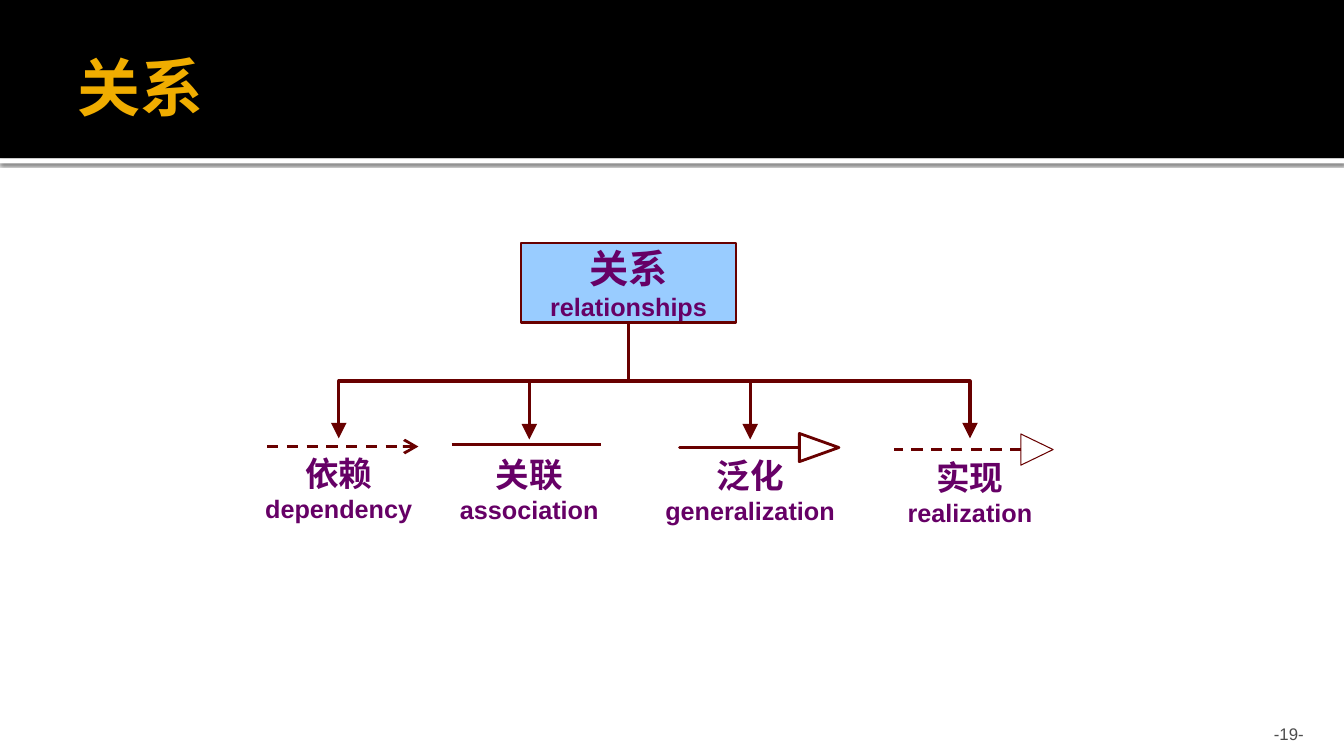
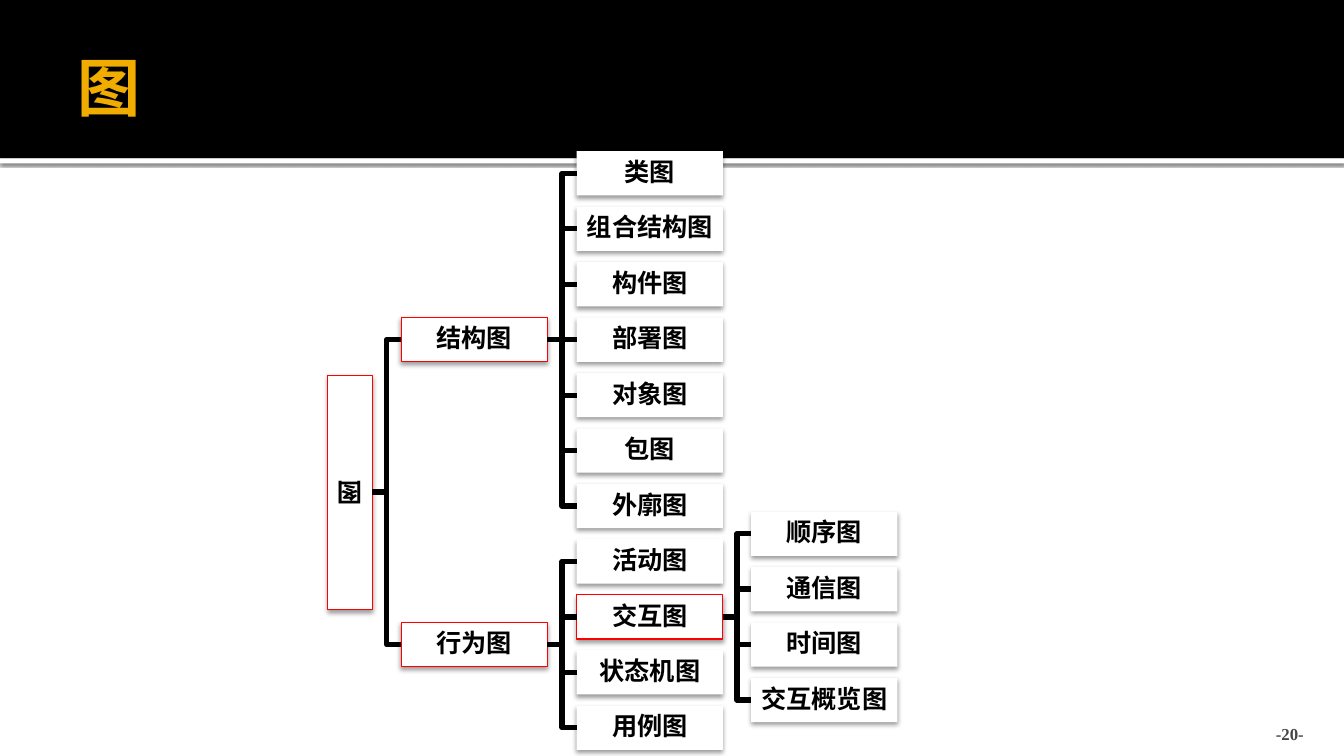
"""Build two slides on UML relationships and the family of UML diagrams."""
from lxml.etree import SubElement
from pptx import Presentation
from pptx.dml.color import RGBColor
from pptx.enum.dml import MSO_LINE
from pptx.enum.shapes import MSO_CONNECTOR as LINK, MSO_SHAPE as SHAPE
from pptx.enum.text import MSO_ANCHOR as ANCHOR, PP_ALIGN as ALIGN
from pptx.oxml.ns import qn
from pptx.util import Inches, Pt

COLORS = {
    "black": "000000", "white": "FFFFFF", "gold": "F0AD00", "red": "FF0000",
    "maroon": "680000", "purple": "660066", "sky": "99CCFF",
    "grey": "4D4D4D", "dark": "454545",
}
RGB = {name: RGBColor.from_string(value) for name, value in COLORS.items()}
SERIF, SANS = "Times New Roman", "Arial"


def add_panel(slide, kind, box, fill=None, line=None, width=0.75, shadow=None):
    """Add a preset shape; shadow is (opacity in percent, blur, distance)."""
    panel = slide.shapes.add_shape(kind, *map(Inches, box))
    panel.shadow.inherit = False
    if fill:
        panel.fill.solid()
        panel.fill.fore_color.rgb = RGB[fill]
    else:
        panel.fill.background()
    if line:
        panel.line.color.rgb = RGB[line]
        panel.line.width = Pt(width)
    else:
        panel.line.fill.background()
    if shadow:
        opacity, blur, distance = shadow
        effects = panel.element.spPr.find(qn("a:effectLst"))
        outer = SubElement(effects, qn("a:outerShdw"), blurRad=str(Pt(blur)),
                           dist=str(Pt(distance)), dir="5400000", rotWithShape="0")
        tint = SubElement(outer, qn("a:srgbClr"), val=COLORS["black"])
        SubElement(tint, qn("a:alpha"), val=str(opacity * 1000))
    return panel


def add_link(slide, kind, start, end, color, width, dash=None, head=None):
    """Add a connector between two points, with an optional dash and arrowhead."""
    link = slide.shapes.add_connector(kind, *map(Inches, (*start, *end)))
    link.line.color.rgb = RGB[color]
    link.line.width = Pt(width)
    if dash:
        link.line.dash_style = dash
    if head:
        outline = link.element.spPr.find(qn("a:ln"))
        SubElement(outline, qn("a:tailEnd"), type=head, w="lg", len="lg")
    SubElement(link.element.spPr, qn("a:effectLst"))
    return link


prs = Presentation()
prs.slide_width, prs.slide_height = Inches(13.33), Inches(7.5)

layout = prs.slide_layouts[5]
for holder in list(layout.placeholders):
    if holder.placeholder_format.idx != 0:
        holder.element.getparent().remove(holder.element)
heading = layout.placeholders[0]
heading.left, heading.top = Inches(0.67), Inches(0.17)
heading.width, heading.height = Inches(12), Inches(1.37)
heading.text_frame.vertical_anchor = ANCHOR.MIDDLE
heading.text_frame.margin_left = Inches(0.1)
heading.text_frame.margin_right = Inches(0.05)

relations, diagrams = [prs.slides.add_slide(layout) for _ in range(2)]

header_band = add_panel(relations, SHAPE.RECTANGLE, (0, 0, 13.33, 1.57), "black")
rule_band = add_panel(relations, SHAPE.RECTANGLE, (0, 1.57, 13.33, 0.05), "white",
                      shadow=(60, 2.5, 0.8))
for band in (header_band, rule_band):
    layout.shapes.element.insert(2, band.element)

for slide, topic, number, font_name, color in (
    (relations, "关系", "-19-", SANS, "grey"),
    (diagrams, "图", "-20-", SERIF, "dark"),
):
    slide.shapes.title.text_frame.text = topic
    title_line = slide.shapes.title.text_frame.paragraphs[0]
    title_line.alignment = ALIGN.LEFT
    title_line.font.name, title_line.font.size = SERIF, Pt(45)
    title_line.font.bold = True
    title_line.font.color.rgb = RGB["gold"]

    page = slide.shapes.add_textbox(*map(Inches, (11.96, 7.08, 1.07, 0.3))).text_frame
    page.word_wrap = True
    page.vertical_anchor = ANCHOR.BOTTOM
    page.margin_bottom = 0
    page.text = number
    page_line = page.paragraphs[0]
    page_line.alignment = ALIGN.RIGHT
    page_line.font.name, page_line.font.size = font_name, Pt(12)
    page_line.font.bold = slide is diagrams
    page_line.font.color.rgb = RGB[color]

root = add_panel(relations, SHAPE.RECTANGLE, (5.17, 2.41, 2.13, 0.79),
                 "sky", "maroon", 1.5)
captions = [(root, "关系", 28, "relationships")]
fork_x, fork_y = 6.23, 3.21
for term, english, center, tip, label_top in (
    ("依赖", "dependency", 3.36, 4.35, 4.44),
    ("关联", "association", 5.25, 4.36, 4.45),
    ("泛化", "generalization", 7.44, 4.36, 4.46),
    ("实现", "realization", 9.62, 4.35, 4.48),
):
    branch = add_link(relations, LINK.ELBOW, (fork_x, fork_y), (center, tip),
                      "maroon", 2.25, head="triangle")
    drop, reach = tip - fork_y, abs(center - fork_x)
    frame = branch.element.spPr.find(qn("a:xfrm"))
    for flip in ("flipH", "flipV"):
        frame.attrib.pop(flip, None)
    branch.left = Inches((fork_x + center - drop) / 2)
    branch.top = Inches((fork_y + tip - reach) / 2)
    branch.width, branch.height = Inches(drop), Inches(reach)
    if center < fork_x:
        frame.set("rot", "5400000")
    else:
        frame.set("rot", "16200000")
        frame.set("flipH", "1")
    label = relations.shapes.add_textbox(
        *map(Inches, (center - 0.92, label_top, 1.84, 0.8)))
    captions.append((label, term, 24, english))

for holder, term, size, english in captions:
    text = holder.text_frame
    text.word_wrap = False
    text.vertical_anchor = ANCHOR.MIDDLE
    text.margin_left = text.margin_right = 0
    text.margin_top = text.margin_bottom = 0
    text.text = f"{term}\n{english}"
    for line, points in zip(text.paragraphs, (size, 18)):
        line.alignment = ALIGN.CENTER
        line.font.name, line.font.size = SANS, Pt(points)
        line.font.bold = True
        line.font.color.rgb = RGB["purple"]

for start, end, dash, head in (
    ((2.65, 4.43), (4.15, 4.43), MSO_LINE.DASH, "arrow"),
    ((4.48, 4.41), (5.96, 4.41), None, None),
    ((10.13, 4.46), (8.87, 4.46), MSO_LINE.DASH, None),
):
    add_link(relations, LINK.STRAIGHT, start, end, "maroon", 2, dash, head)
generalization = add_panel(relations, SHAPE.RIGHT_ARROW, (6.74, 4.3, 1.58, 0.28),
                           line="maroon", width=2)
generalization.adjustments[0] = 0
generalization.adjustments[1] = 1.4
realization = add_panel(relations, SHAPE.FLOWCHART_EXTRACT, (10.13, 4.3, 0.31, 0.32),
                        line="maroon")
realization.rotation = 90

COLUMNS = (3.25, 3.98, 5.72, 7.45)
ROW_TOP, ROW_STEP = 1.72, 0.55
BOX_WIDTH, BOX_HEIGHT, ROOT_HEIGHT = 1.45, 0.44, 2.32
structure = ("类图", "组合结构图", "构件图", "部署图", "对象图", "包图", "外廓图")
behavior = ("活动图", "交互图", "状态机图", "用例图")
interaction = ("顺序图", "通信图", "时间图", "交互概览图")
nodes = [("图", None, 0, 5.75), ("结构图", "图", 1, 3), ("行为图", "图", 1, 8.5)]
for parent, children, column, first_row in (
    ("结构图", structure, 2, 0),
    ("行为图", behavior, 2, 7),
    ("交互图", interaction, 3, 6.5),
):
    nodes += [(child, parent, column, first_row + i) for i, child in enumerate(children)]

parents = {parent for _, parent, _, _ in nodes}
placed = {}
for name, parent, column, row in nodes:
    left, middle = COLUMNS[column], ROW_TOP + ROW_STEP * row
    width, height = (BOX_WIDTH, BOX_HEIGHT) if parent else (BOX_HEIGHT, ROOT_HEIGHT)
    node = add_panel(diagrams, SHAPE.RECTANGLE, (left, middle - height / 2, width, height),
                     "white", "red" if name in parents else None, shadow=(38, 3.5, 2))
    text = node.text_frame
    text.margin_left = text.margin_right = Inches(0.01)
    text.margin_top = text.margin_bottom = Inches(0.01)
    text.vertical_anchor = ANCHOR.MIDDLE
    text.text = name
    line = text.paragraphs[0]
    line.alignment, line.line_spacing = ALIGN.CENTER, 0.9
    line.font.name, line.font.size = SERIF, Pt(18)
    line.font.bold = True
    line.font.color.rgb = RGB["black"]
    placed[name] = (node, left + width, middle, row)
    if parent:
        source, right, parent_middle, parent_row = placed[parent]
        kind = LINK.STRAIGHT if row == parent_row else LINK.ELBOW
        edge = add_link(diagrams, kind, (right, parent_middle), (left, middle),
                        "black", 3.78)
        if parent != "图":
            edge.begin_connect(source, 3)
        edge.end_connect(node, 1)
    else:
        node.rotation = 180

prs.save("out.pptx")
